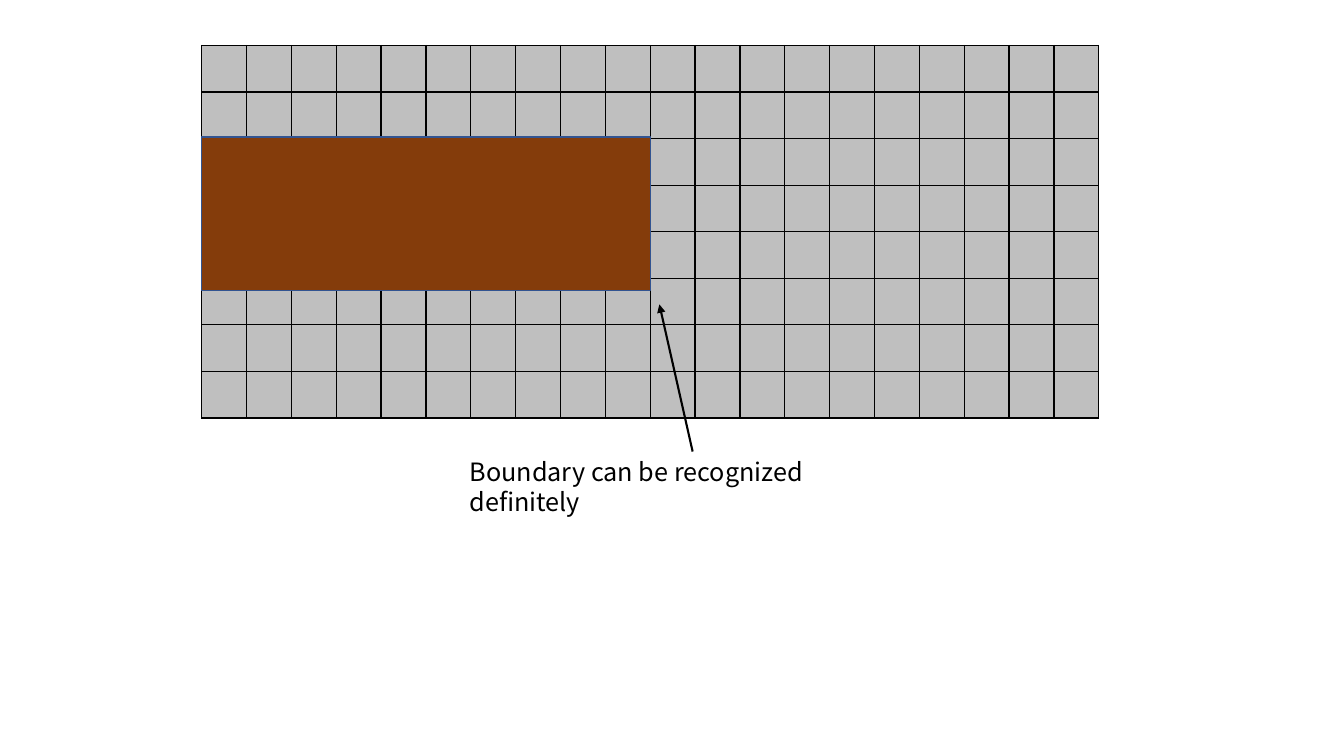
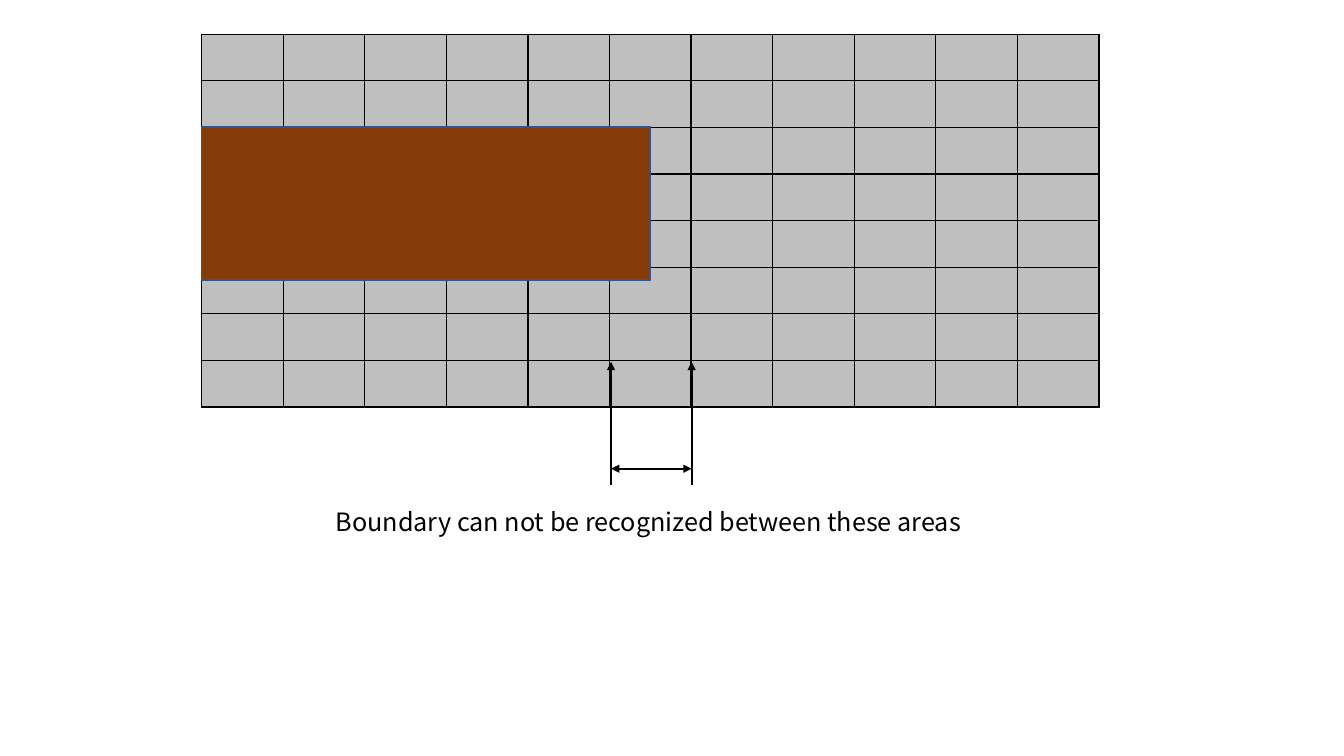
"""Build two slides comparing how a fine and a coarse grid resolve a boundary."""
from lxml.etree import SubElement
from pptx import Presentation
from pptx.dml.color import RGBColor
from pptx.enum.shapes import MSO_CONNECTOR, MSO_SHAPE
from pptx.oxml.ns import qn
from pptx.util import Inches, Pt

COLORS = {"cell": "BFBFBF", "grid": "000000", "block": "843C0B",
          "edge": "325491", "ink": "000000"}
FONT = "Noto Sans CJK JP"
GRID_LEFT, GRID_WIDTH, GRID_HEIGHT, ROWS = 2, 8.9, 3.7, 8
BLOCK_HEIGHT = 1.52

SLIDES = [
    {"columns": 20, "grid_top": 0.45, "block_top": 1.36,
     "caption": "Boundary can be recognized definitely",
     "caption_box": (4.56, 4.48, 4.6, 0.4),
     "arrows": [((6.87, 4.48), (6.54, 3.02), ("tail",))]},
    {"columns": 11, "grid_top": 0.34, "block_top": 1.26,
     "caption": "Boundary can not be recognized between these areas",
     "caption_box": (3.23, 4.97, 6.44, 0.4),
     "arrows": [((6.06, 4.81), (6.06, 3.59), ("tail",)),
                ((6.86, 4.81), (6.86, 3.59), ("tail",)),
                ((6.86, 4.65), (6.06, 4.65), ("head", "tail"))]},
]


def color(name):
    return RGBColor.from_string(COLORS[name])


def inches(values):
    return [Inches(value) for value in values]


def border_cell(cell):
    properties = cell._tc.get_or_add_tcPr()
    for side in ("lnL", "lnR", "lnT", "lnB"):
        border = SubElement(properties, qn(f"a:{side}"), w=str(Pt(1)))
        fill = SubElement(border, qn("a:solidFill"))
        SubElement(fill, qn("a:srgbClr"), val=COLORS["grid"])


def add_grid(slide, top, columns):
    grid = slide.shapes.add_table(
        ROWS, columns, *inches((GRID_LEFT, top, GRID_WIDTH, GRID_HEIGHT))).table
    grid.first_row = grid.horz_banding = False
    for cell in grid.iter_cells():
        border_cell(cell)
        cell.fill.solid()
        cell.fill.fore_color.rgb = color("cell")


def add_block(slide, top):
    block = slide.shapes.add_shape(
        MSO_SHAPE.RECTANGLE,
        *inches((GRID_LEFT, top, GRID_WIDTH / 2, BLOCK_HEIGHT)))
    block.shadow.inherit = False
    block.fill.solid()
    block.fill.fore_color.rgb = color("block")
    block.line.color.rgb = color("edge")
    block.line.width = Pt(1)


def add_caption(slide, text, box):
    frame = slide.shapes.add_textbox(*inches(box)).text_frame
    frame.word_wrap = True
    paragraph = frame.paragraphs[0]
    paragraph.text = text
    paragraph.font.name = FONT
    paragraph.font.size = Pt(18)
    paragraph.font.color.rgb = color("ink")


def add_arrow(slide, start, end, tips):
    arrow = slide.shapes.add_connector(
        MSO_CONNECTOR.STRAIGHT, *inches(start + end))
    arrow.line.color.rgb = color("ink")
    arrow.line.width = Pt(1.5)
    for tip in tips:
        SubElement(arrow.line._get_or_add_ln(), qn(f"a:{tip}End"), type="triangle")
    SubElement(arrow._element.spPr, qn("a:effectLst"))


def main():
    deck = Presentation()
    deck.slide_width, deck.slide_height = inches((13.33, 7.5))
    blank = deck.slide_layouts[6]
    for content in SLIDES:
        slide = deck.slides.add_slide(blank)
        add_grid(slide, content["grid_top"], content["columns"])
        add_block(slide, content["block_top"])
        add_caption(slide, content["caption"], content["caption_box"])
        for arrow in content["arrows"]:
            add_arrow(slide, *arrow)
    deck.save("out.pptx")


if __name__ == "__main__":
    main()
